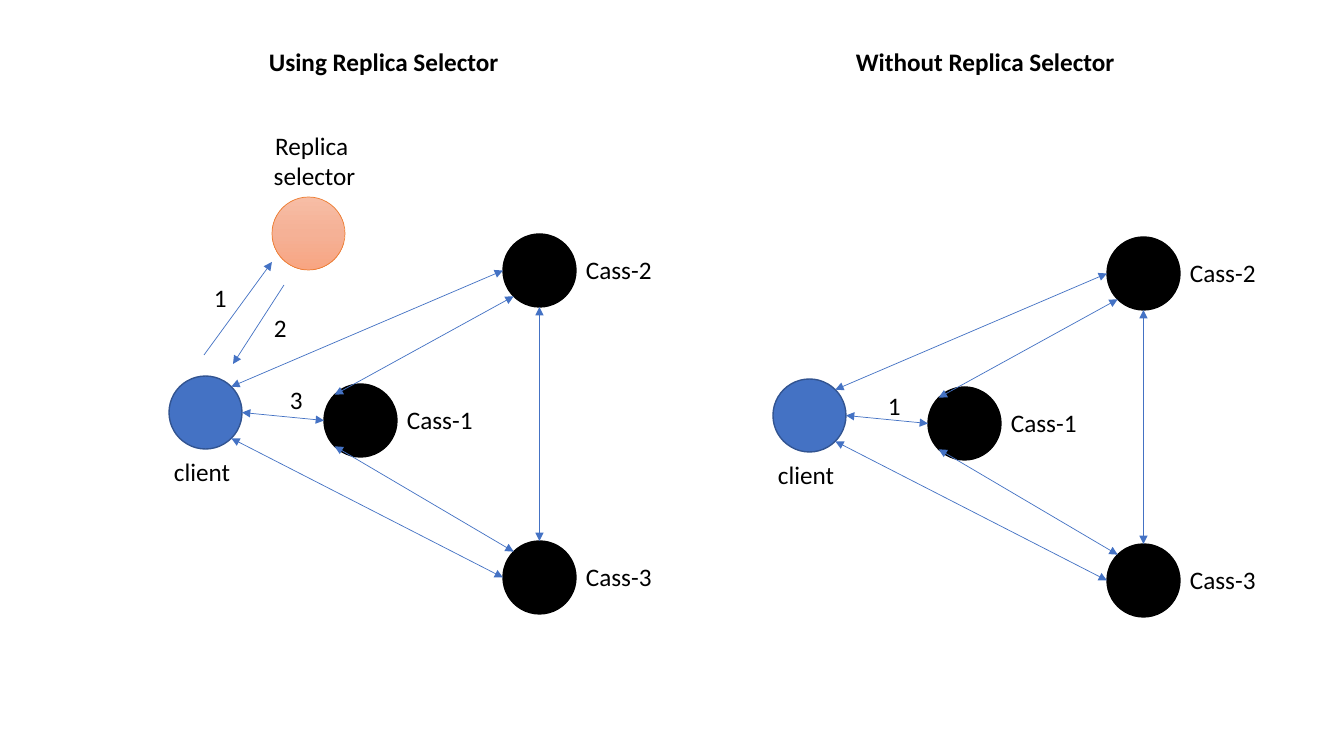
from copy import deepcopy
from math import cos, radians, sin

from lxml.etree import SubElement
from pptx import Presentation
from pptx.dml.color import RGBColor
from pptx.enum.shapes import MSO_CONNECTOR, MSO_SHAPE
from pptx.enum.text import MSO_AUTO_SIZE, PP_ALIGN
from pptx.oxml.ns import qn
from pptx.util import Emu, Pt

SCALE = 914400 / 100.8
DIAMETER = 73
BLUE, BLACK, ORANGE = "4472C4", "000000", "ED7D31"


def px(length):
    """Turn pixels into EMU."""
    return Emu(round(length * SCALE))


def color(value):
    """Turn a hex string into a colour."""
    return RGBColor.from_string(value)


def add_text(page, text, left, top, width, height=40, bold=False, align=PP_ALIGN.LEFT):
    """Add unwrapped text, one paragraph per line."""
    box = page.shapes.add_textbox(px(left), px(top), px(width), px(height))
    frame = box.text_frame
    frame.word_wrap = False
    frame.auto_size = MSO_AUTO_SIZE.SHAPE_TO_FIT_TEXT
    frame.text = text
    for para in frame.paragraphs:
        para.alignment = align
        for span in para.runs:
            span.font.name, span.font.size, span.font.bold = "Calibri", Pt(18), bold
            span.font.color.rgb = color(BLACK)


def add_node(page, left, top, fill, line, weight=1):
    """Add a circle filled with one colour, or with a gradient for a list of colours."""
    node = page.shapes.add_shape(
        MSO_SHAPE.OVAL, px(left), px(top), px(DIAMETER), px(DIAMETER))
    node.shadow.inherit = False
    node.line.color.rgb = color(line)
    node.line.width = Pt(weight)
    if isinstance(fill, str):
        node.fill.solid()
        node.fill.fore_color.rgb = color(fill)
        return
    node.fill.gradient()
    node.fill.gradient_angle = 270
    stops = node.element.spPr.find(qn("a:gradFill")).find(qn("a:gsLst"))
    stops.insert(1, deepcopy(stops[0]))
    stops[1].set("pos", "50000")
    for stop, value in zip(node.fill.gradient_stops, fill):
        stop.color.rgb = color(value)


def add_arrow(page, start, end, both=True):
    """Add a thin arrow, with heads at both ends or at the end only."""
    arrow = page.shapes.add_connector(
        MSO_CONNECTOR.STRAIGHT, *(px(value) for value in (*start, *end)))
    arrow.line.color.rgb = color(BLUE)
    arrow.line.width = Pt(0.5)
    line = arrow.line._get_or_add_ln()
    for tag in ("a:headEnd", "a:tailEnd") if both else ("a:tailEnd",):
        SubElement(line, qn(tag)).set("type", "triangle")
    SubElement(arrow.element.spPr, qn("a:effectLst"))


def rim(corner, angle):
    """Return the point on a circle's rim at an angle clockwise from the right."""
    radius = DIAMETER / 2
    return (corner[0] + radius * (1 + cos(radians(angle))),
            corner[1] + radius * (1 + sin(radians(angle))))


def add_cluster(page, left, top, step, step_left, step_top):
    """Draw the client, its three Cass nodes and the links between them."""
    client = (left, top + 142)
    nodes = {
        "Cass-1": (left + 155, top + 150),
        "Cass-2": (left + 334, top),
        "Cass-3": (left + 334, top + 307),
    }
    first, second, third = nodes.values()
    add_node(page, *client, BLUE, "325491")
    add_text(page, "client", client[0] - 5, client[1] + 75, 78)
    for name, (node_left, node_top) in nodes.items():
        add_node(page, node_left, node_top, BLACK, BLACK)
        add_text(page, name, node_left + DIAMETER, node_top + 15, 87)
    for source, source_angle, target, target_angle in (
        (client, 45, third, 180),
        (client, -45, second, 180),
        (client, 0, first, 180),
        (second, 135, first, 225),
        (first, 135, third, 225),
        (third, -90, second, 90),
    ):
        add_arrow(page, rim(source, source_angle), rim(target, target_angle))
    add_text(page, step, left + step_left, top + step_top, 33)


def add_selector(page, left, top):
    """Draw the replica selector with its request and reply arrows."""
    add_node(page, left, top, ("F7BDA5", "F5B196", "F8A582"), ORANGE, 0.5)
    add_text(page, "Replica \nselector", left - 9, top - 72, 103, 72,
             align=PP_ALIGN.CENTER)
    add_arrow(page, (left - 68, top + 158), (left, top + 65), both=False)
    add_arrow(page, (left + 12, top + 88), (left - 39, top + 167), both=False)
    add_text(page, "1", left - 68, top + 80, 33)
    add_text(page, "2", left - 8, top + 110, 33)


def main():
    """Build and save the slide."""
    deck = Presentation()
    deck.slide_width, deck.slide_height = px(1344), px(756)
    page = deck.slides.add_slide(deck.slide_layouts[6])
    add_text(page, "Using Replica Selector", 259, 41, 252, bold=True)
    add_selector(page, 272, 197)
    add_cluster(page, 169, 234, "3", 111, 145)
    add_text(page, "Without Replica Selector", 846, 41, 281, bold=True)
    add_cluster(page, 773, 237, "1", 105, 148)
    deck.save("out.pptx")


main()
